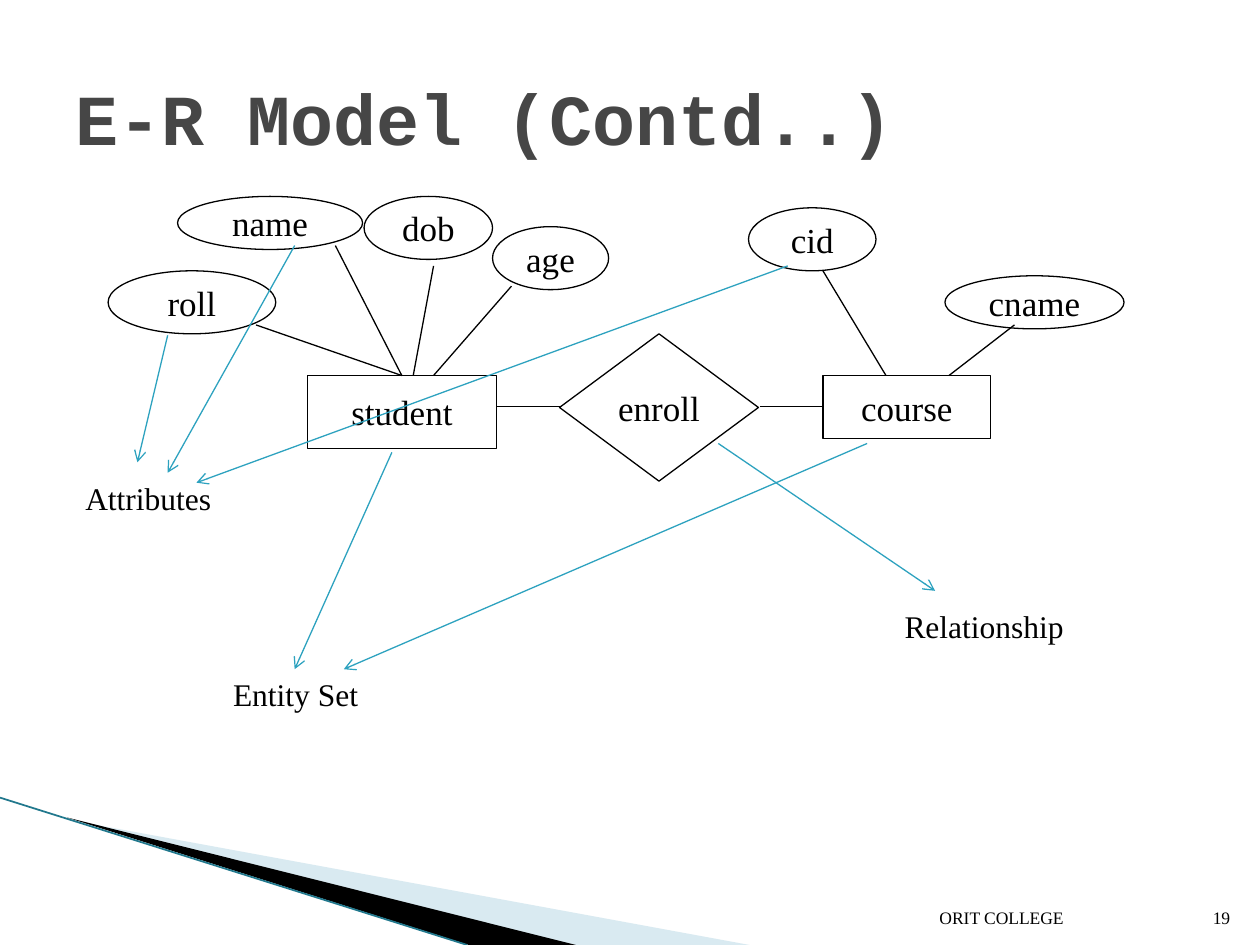
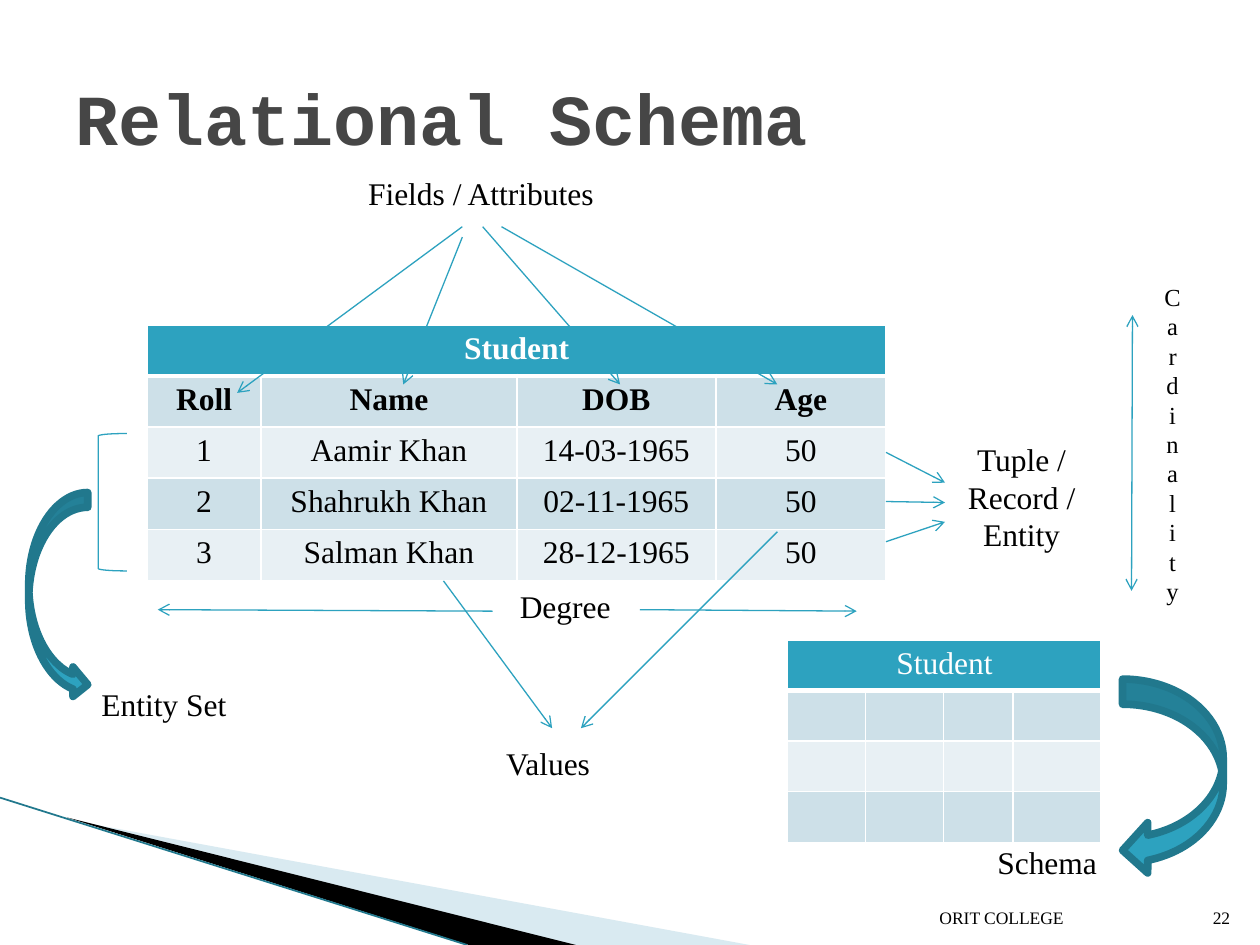
"""Build two slides on the E-R model and the relational schema."""

from lxml.etree import SubElement
from pptx import Presentation
from pptx.dml.color import RGBColor
from pptx.enum.shapes import MSO_CONNECTOR, MSO_SHAPE
from pptx.enum.text import MSO_ANCHOR, MSO_AUTO_SIZE, PP_ALIGN
from pptx.oxml import parse_xml
from pptx.oxml.ns import nsdecls, qn
from pptx.util import Cm, Pt

BLACK = RGBColor(0x00, 0x00, 0x00)
WHITE = RGBColor(0xFF, 0xFF, 0xFF)
TITLE_GREY = RGBColor(0x46, 0x46, 0x46)
TEAL = RGBColor(0x2D, 0xA2, 0xBF)
DARK_TEAL = RGBColor(0x21, 0x78, 0x8D)
PALE_BLUE = RGBColor(0xA0, 0xCB, 0xDC)
BAND_DARK = RGBColor(0xCD, 0xE0, 0xE8)
BAND_LIGHT = RGBColor(0xE8, 0xF0, 0xF4)
TITLE_FONT = "Courier New"
BODY_FONT = "Times New Roman"

FOOTER = "ORIT COLLEGE"
PALE_WEDGE = [(1.4, 16.53), (15.11, 19.05), (11.58, 19.05)]
BLACK_WEDGE = [(1.35, 16.48), (11.61, 19.05), (9.45, 19.05)]
WEDGE_EDGE = (0, 16.08, 9.42, 19.05)

ER_NODES = [
    ("student", MSO_SHAPE.RECTANGLE, (6.2, 7.57, 3.81, 1.47)),
    ("course", MSO_SHAPE.RECTANGLE, (16.59, 7.57, 3.38, 1.27)),
    ("enroll", MSO_SHAPE.DIAMOND, (11.28, 6.73, 4.01, 2.97)),
    ("name", MSO_SHAPE.OVAL, (3.58, 3.96, 3.73, 1.07)),
    ("dob", MSO_SHAPE.OVAL, (7.34, 3.96, 2.59, 1.27)),
    ("roll", MSO_SHAPE.OVAL, (2.18, 5.46, 3.38, 1.27)),
    ("cid", MSO_SHAPE.OVAL, (15.09, 4.19, 2.57, 1.27)),
    ("cname", MSO_SHAPE.OVAL, (19.05, 5.56, 3.61, 1.07)),
    ("age", MSO_SHAPE.OVAL, (9.93, 4.57, 2.34, 1.27)),
]
ER_LINKS = [
    (5.16, 6.55, 8.1, 7.57), (6.76, 4.95, 8.1, 7.57),
    (8.74, 5.36, 8.33, 7.57), (10.31, 5.77, 8.74, 7.57),
    (16.59, 5.46, 17.86, 7.57), (20.45, 6.55, 19.13, 7.57),
    (11.28, 8.2, 10.01, 8.2), (15.32, 8.2, 16.59, 8.2),
]
ER_ARROWS = [
    (3.38, 6.76, 2.77, 9.32), (5.94, 4.95, 3.38, 9.53),
    (15.88, 5.36, 3.96, 9.73), (17.48, 8.94, 6.93, 13.49),
    (7.9, 9.12, 5.94, 13.49), (14.48, 8.94, 18.85, 11.91),
]
ER_LABELS = [
    ("Attributes", (1.4, 9.53, 3.18, 1.02)),
    ("Entity Set", (4.37, 13.49, 3.18, 1.02)),
    ("Relationship", (17.86, 12.12, 3.96, 1.02)),
]

STUDENT_ROWS = [
    ["Roll", "Name", "DOB", "Age"],
    ["1", "Aamir Khan", "14-03-1965", "50"],
    ["2", "Shahrukh Khan", "02-11-1965", "50"],
    ["3", "Salman Khan", "28-12-1965", "50"],
]
EMPTY_ROWS = [[""] * 4] * 3
FIELD_ARROWS = [
    (9.32, 4.57, 4.78, 7.92), (9.32, 4.78, 8.13, 7.75),
    (9.73, 4.57, 12.5, 7.75), (10.11, 4.57, 15.67, 7.75),
]
TUPLE_ARROWS = [
    (17.86, 9.12, 19.05, 9.73), (17.86, 10.11, 19.05, 10.13),
    (17.86, 10.92, 19.05, 10.52),
]
VALUE_ARROWS = [(8.94, 11.71, 11.13, 14.68), (15.67, 10.72, 11.71, 14.68)]
DEGREE_ARROWS = [(12.9, 12.29, 17.27, 12.32), (9.93, 12.32, 3.18, 12.29)]
CARDINALITY_ARROW = (22.83, 6.35, 22.81, 11.91)
SCHEMA_LABELS = [
    ("Fields / Attributes", (7.14, 3.38, 5.11, 1.02)),
    ("Tuple /\nRecord /\nEntity", (19.25, 8.74, 2.69, 2.57)),
    ("Entity Set", (1.78, 13.69, 3.05, 1.02)),
    ("Values", (9.93, 14.88, 2.24, 1.02)),
    ("Schema", (19.84, 16.87, 2.54, 1.02)),
    ("Degree", (10.11, 11.71, 2.57, 1.02)),
]
CURVED_ARROWS = [
    (MSO_SHAPE.CURVED_RIGHT_ARROW, (0.58, 9.93, 1.19, 4.17)),
    (MSO_SHAPE.CURVED_LEFT_ARROW, (22.63, 13.69, 2.03, 3.96)),
]


def in_cm(values):
    """Turn plain numbers into lengths."""
    return [Cm(value) for value in values]


def write(text_frame, text, size, color=BLACK, align=PP_ALIGN.CENTER,
          bold=False, font=BODY_FONT):
    """Fill a text frame, one paragraph a line, in one style."""
    text_frame.text = text
    for paragraph in text_frame.paragraphs:
        paragraph.alignment = align
        paragraph.font.name = font
        paragraph.font.size = Pt(size)
        paragraph.font.bold = bold
        paragraph.font.color.rgb = color


def add_label(slide, text, box, size=18, align=PP_ALIGN.CENTER,
              anchor=MSO_ANCHOR.TOP):
    """Add a text box that does not wrap."""
    text_frame = slide.shapes.add_textbox(*in_cm(box)).text_frame
    text_frame.word_wrap = False
    text_frame.vertical_anchor = anchor
    write(text_frame, text, size, align=align)


def add_line(slide, ends, color=TEAL, width=0.75, arrowheads=()):
    """Add a straight line with arrowheads at the named ends."""
    connector = slide.shapes.add_connector(MSO_CONNECTOR.STRAIGHT, *in_cm(ends))
    connector.line.color.rgb = color
    connector.line.width = Pt(width)
    properties = connector._element.spPr
    for end in arrowheads:
        SubElement(properties.find(qn("a:ln")), qn(f"a:{end}"), type="arrow")
    SubElement(properties, qn("a:effectLst"))


def add_arrows(slide, arrows):
    """Add teal arrows that point at their second end."""
    for ends in arrows:
        add_line(slide, ends, arrowheads=["tailEnd"])


def add_outline(slide, kind, box, color, width=0.75, fill=None):
    """Add a preset shape, hollow unless a fill is given."""
    shape = slide.shapes.add_shape(kind, *in_cm(box))
    shape.shadow.inherit = False
    shape.line.color.rgb = color
    shape.line.width = Pt(width)
    if fill is None:
        shape.fill.background()
    else:
        shape.fill.solid()
        shape.fill.fore_color.rgb = fill
    return shape


def add_wedge(slide, points, color, opacity=100):
    """Add a filled triangle of the corner band."""
    start, *others = [in_cm(point) for point in points]
    builder = slide.shapes.build_freeform(*start)
    builder.add_line_segments(others)
    wedge = builder.convert_to_shape()
    wedge.shadow.inherit = False
    wedge.line.fill.background()
    wedge.fill.solid()
    wedge.fill.fore_color.rgb = color
    rgb = wedge._element.spPr.find(f".//{qn('a:srgbClr')}")
    SubElement(rgb, qn("a:alpha"), val=str(opacity * 1000))


def add_base_slide(presentation, title, number):
    """Add a slide with corner band, title, footer and number."""
    slide = presentation.slides.add_slide(presentation.slide_layouts[5])
    add_wedge(slide, PALE_WEDGE, PALE_BLUE, 40)
    add_wedge(slide, BLACK_WEDGE, BLACK)
    add_line(slide, WEDGE_EDGE, DARK_TEAL, 1)
    heading = slide.shapes.title
    heading.left, heading.top, heading.width, heading.height = in_cm(
        (1.27, 0.76, 22.86, 3.18))
    heading.text_frame.auto_size = MSO_AUTO_SIZE.NONE
    heading.text_frame.vertical_anchor = MSO_ANCHOR.MIDDLE
    write(heading.text_frame, title, 41, TITLE_GREY, PP_ALIGN.LEFT, True,
          TITLE_FONT)
    add_label(slide, FOOTER, (18.69, 17.81, 5.33, 1.02), 10, PP_ALIGN.LEFT,
              MSO_ANCHOR.BOTTOM)
    add_label(slide, str(number), (24.03, 17.81, 1.02, 1.02), 10,
              PP_ALIGN.RIGHT, MSO_ANCHOR.BOTTOM)
    return slide


def style_cell(cell, fill, bottom=1):
    """Give a cell its fill and white borders."""
    cell.fill.solid()
    cell.fill.fore_color.rgb = fill
    properties = cell._tc.get_or_add_tcPr()
    widths = {"lnL": 1, "lnR": 1, "lnT": 1, "lnB": bottom}
    for position, (side, width) in enumerate(widths.items()):
        properties.insert(position, parse_xml(
            f'<a:{side} {nsdecls("a")} w="{Pt(width)}"><a:solidFill>'
            f'<a:srgbClr val="{WHITE}"/></a:solidFill></a:{side}>'))


def add_banded_table(slide, rows, corner, widths, row_height, bold):
    """Add a table under a merged Student header."""
    frame = slide.shapes.add_table(
        len(rows) + 1, len(widths), *in_cm(corner), Cm(sum(widths)),
        Cm(row_height * (len(rows) + 1)))
    table = frame.table
    for column, width in zip(table.columns, widths):
        column.width = Cm(width)
    for index, row in enumerate(table.rows):
        row.height = Cm(row_height)
        for cell in row.cells:
            if index == 0:
                style_cell(cell, TEAL, bottom=3)
            else:
                style_cell(cell, BAND_DARK if index % 2 else BAND_LIGHT)
    header = table.cell(0, 0)
    header.merge(table.cell(0, len(widths) - 1))
    write(header.text_frame, "Student", 18, WHITE, bold=bold)
    for row_index, row in enumerate(rows, 1):
        for column_index, text in enumerate(row):
            if text:
                write(table.cell(row_index, column_index).text_frame, text, 18,
                      bold=row_index == 1)


def build_er_slide(presentation):
    """Draw the entity-relationship diagram."""
    slide = add_base_slide(presentation, "E-R Model (Contd..)", 19)
    for text, kind, box in ER_NODES:
        node = add_outline(slide, kind, box, BLACK)
        node.text_frame.word_wrap = False
        node.text_frame.vertical_anchor = MSO_ANCHOR.MIDDLE
        write(node.text_frame, text, 20)
    for ends in ER_LINKS:
        add_line(slide, ends, BLACK)
    add_arrows(slide, ER_ARROWS)
    for text, box in ER_LABELS:
        add_label(slide, text, box)


def build_schema_slide(presentation):
    """Draw the annotated student table and its schema."""
    slide = add_base_slide(presentation, "Relational Schema", 22)
    add_banded_table(slide, STUDENT_ROWS, (2.97, 6.55),
                     (2.29, 5.16, 4.01, 3.43), 1.03, True)
    add_banded_table(slide, EMPTY_ROWS, (15.88, 12.9),
                     (1.57, 1.57, 1.4, 1.78), 1.02, False)
    add_arrows(slide, FIELD_ARROWS + TUPLE_ARROWS + VALUE_ARROWS + DEGREE_ARROWS)
    add_line(slide, CARDINALITY_ARROW, arrowheads=["headEnd", "tailEnd"])
    add_outline(slide, MSO_SHAPE.LEFT_BRACKET, (1.98, 8.74, 0.58, 2.77), TEAL)
    for kind, box in CURVED_ARROWS:
        add_outline(slide, kind, box, DARK_TEAL, 4.33, TEAL)
    for text, box in SCHEMA_LABELS:
        add_label(slide, text, box)
    add_label(slide, "\n".join("Cardinality"), (23.22, 5.56, 0.84, 6.83), 14)


def main():
    """Build and save the presentation."""
    presentation = Presentation()
    presentation.slide_width = Cm(25.4)
    presentation.slide_height = Cm(19.05)
    build_er_slide(presentation)
    build_schema_slide(presentation)
    presentation.save("out.pptx")


if __name__ == "__main__":
    main()
